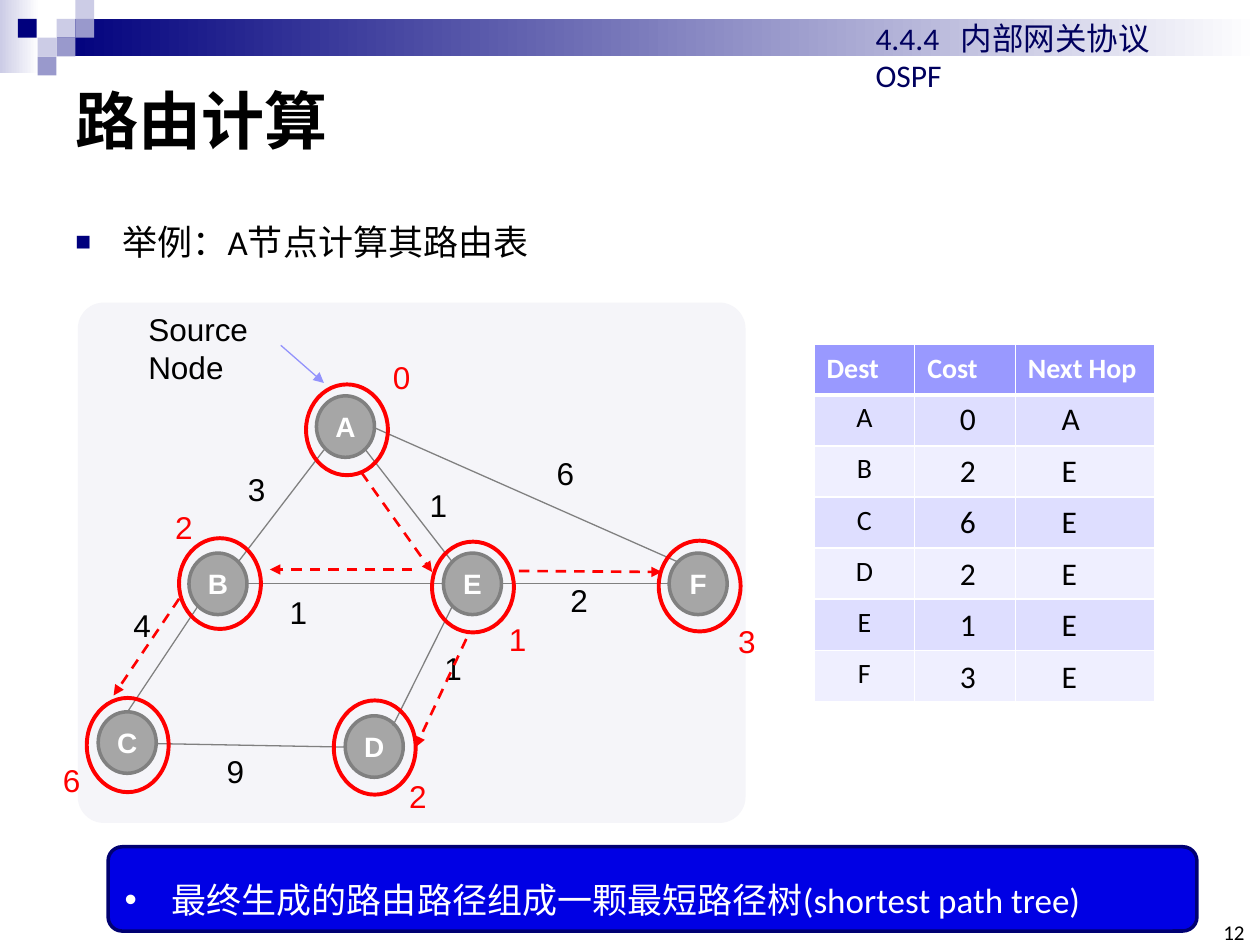
"""Build the slide on shortest-path route calculation."""
from lxml.etree import SubElement
from pptx import Presentation
from pptx.dml.color import RGBColor
from pptx.enum.dml import MSO_LINE
from pptx.enum.shapes import MSO_CONNECTOR, MSO_SHAPE
from pptx.enum.text import MSO_ANCHOR as Anchor, PP_ALIGN as Align
from pptx.oxml.ns import qn
from pptx.util import Cm, Pt

WHITE = RGBColor(0xFF, 0xFF, 0xFF)
BLACK = RGBColor(0x00, 0x00, 0x00)
RED = RGBColor(0xFF, 0x00, 0x00)
NAVY = RGBColor(0x00, 0x00, 0x7D)
DARK_NAVY = RGBColor(0x00, 0x00, 0x5E)
LAVENDER = RGBColor(0xCC, 0xCC, 0xE6)
LILAC = RGBColor(0x99, 0x99, 0xCC)
PANEL = RGBColor(0xF5, 0xF5, 0xF9)
NODE_FILL = RGBColor(0xA6, 0xA6, 0xA6)
GRAY = RGBColor(0x80, 0x80, 0x80)
POINTER = RGBColor(0x93, 0x93, 0xFC)
HEADER = RGBColor(0x99, 0x99, 0xFF)
BANDS = (RGBColor(0xDE, 0xDE, 0xFF), RGBColor(0xEF, 0xEF, 0xFF))
BAR_FILL = RGBColor(0x00, 0x00, 0xE4)
BAR_LINE = RGBColor(0x00, 0x00, 0x72)

SQUARES = [
    (1.14, 0.38, LAVENDER), (1.52, 0, LAVENDER), (1.52, 0.38, LILAC),
    (0.76, 0.76, LAVENDER), (0.36, 0.38, NAVY), (1.14, 0.76, LILAC),
    (0.76, 1.14, LILAC),
]
NODES = {
    "A": (6.38, 7.98), "B": (3.81, 11.15), "E": (8.94, 11.15),
    "F": (13.49, 11.15), "C": (1.98, 14.35), "D": (6.96, 14.43),
}
LINKS = [
    (6.53, 9.07, 4.8, 11.33), (3.99, 12.22, 2.57, 14.35),
    (3.15, 14.99, 6.96, 15.06), (7.92, 14.63, 9.12, 12.22),
    (4.95, 11.76, 8.94, 11.76), (7.37, 9.07, 9.12, 11.33),
    (10.08, 11.76, 13.49, 11.76), (7.52, 8.61, 13.67, 11.33),
]
WEIGHTS = [
    ("4", 2.44, 12.09), ("9", 4.32, 15.04), ("1", 8.71, 12.95),
    ("1", 5.59, 11.84), ("3", 4.75, 9.35), ("1", 8.41, 9.68),
    ("2", 11.25, 11.58), ("6", 10.97, 9.02),
]
RINGS = [
    (6.17, 7.75, 1.83), (8.71, 10.92, 1.83), (3.61, 10.85, 1.83),
    (13.28, 10.9, 1.83), (6.73, 14.12, 1.9), (1.75, 14.07, 1.9),
]
DISTANCES = [
    ("0", 7.67, 7.09), ("1", 10.01, 12.37), ("2", 3.28, 10.11),
    ("3", 14.63, 12.42), ("2", 8, 15.54), ("6", 1.02, 15.21),
]
TREE_PATHS = [
    (7.29, 9.53, 8.71, 11.53), (8.31, 11.48, 5.44, 11.48),
    (10.46, 11.51, 13.34, 11.53), (9.4, 12.88, 8.38, 15.06),
    (3.61, 12.07, 2.29, 14.02),
]
COLUMNS = [("Dest", 2.03), ("Cost", 2.03), ("Next Hop", 2.82)]
ROUTES = [("A", "0", "A"), ("B", "2", "E"), ("C", "6", "E"),
          ("D", "2", "E"), ("E", "1", "E"), ("F", "3", "E")]
ROW_HEIGHT = 1.03


def write(frame, content, size=18, color=BLACK, font="Calibri", bold=False,
          align=Align.LEFT, anchor=Anchor.TOP, spacing=None, before=None,
          inset=None, bullet=None, indent=0.95, tab=None):
    frame.word_wrap = True
    frame.vertical_anchor = anchor
    if inset is not None:
        frame.margin_left = frame.margin_right = Cm(inset)
        frame.margin_top = frame.margin_bottom = Cm(inset)
    paragraph = frame.paragraphs[0]
    paragraph.alignment = align
    if spacing:
        paragraph.line_spacing = spacing
    if before:
        paragraph.space_before = Pt(before)
    run = paragraph.add_run()
    run.text = content
    run.font.size = Pt(size)
    run.font.name = font
    run.font.bold = bold
    run.font.color.rgb = color
    properties = paragraph._p.get_or_add_pPr()
    if bullet:
        character, bullet_color, percent = bullet
        properties.set("marL", str(Cm(indent)))
        properties.set("indent", str(-Cm(indent)))
        tint = SubElement(properties, qn("a:buClr"))
        SubElement(tint, qn("a:srgbClr"), val=str(bullet_color))
        SubElement(properties, qn("a:buSzPct"), val=str(percent * 1000))
        SubElement(properties, qn("a:buFont"), typeface="Arial")
        SubElement(properties, qn("a:buChar"), char=character)
    if tab:
        stops = SubElement(properties, qn("a:tabLst"))
        SubElement(stops, qn("a:tab"), pos=str(Cm(tab)), algn="l")


def add_text(slide, content, left, top, width=1, height=1.02, **text_format):
    box = slide.shapes.add_textbox(Cm(left), Cm(top), Cm(width), Cm(height))
    write(box.text_frame, content, **text_format)


def add_shape(slide, kind, left, top, width, height, fill=None, line=None,
              line_width=2, gradient=None):
    shape = slide.shapes.add_shape(kind, Cm(left), Cm(top), Cm(width), Cm(height))
    shape.shadow.inherit = False
    if gradient:
        shape.fill.gradient()
        shape.fill.gradient_angle = 0
        for stop, color, position in zip(shape.fill.gradient_stops, gradient, (0, 1)):
            stop.color.rgb = color
            stop.position = position
    elif fill is not None:
        shape.fill.solid()
        shape.fill.fore_color.rgb = fill
    else:
        shape.fill.background()
    if line is not None:
        shape.line.color.rgb = line
        shape.line.width = Pt(line_width)
    else:
        shape.line.fill.background()
    return shape


def add_line(slide, ends, color, width=0.75, dashed=False, arrow=False):
    connector = slide.shapes.add_connector(MSO_CONNECTOR.STRAIGHT, *map(Cm, ends))
    connector.line.color.rgb = color
    connector.line.width = Pt(width)
    if dashed:
        connector.line.dash_style = MSO_LINE.DASH
    if arrow:
        SubElement(connector.line._get_or_add_ln(), qn("a:tailEnd"), type="triangle")
    SubElement(connector._element.spPr, qn("a:effectLst"))


def style_cell(cell, fill, bottom=1):
    properties = cell._tc.get_or_add_tcPr()
    for side, width in (("L", 1), ("R", 1), ("T", 1), ("B", bottom)):
        border = SubElement(properties, qn(f"a:ln{side}"), w=str(Pt(width)))
        SubElement(SubElement(border, qn("a:solidFill")), qn("a:srgbClr"), val=str(WHITE))
    cell.fill.solid()
    cell.fill.fore_color.rgb = fill


def add_banner(slide):
    add_shape(slide, MSO_SHAPE.RECTANGLE, 0, 0, 0.79, 1.47, gradient=(LAVENDER, WHITE))
    add_shape(slide, MSO_SHAPE.RECTANGLE, 1.14, 0.38, 24.26, 0.76, gradient=(NAVY, WHITE))
    for left, top, color in SQUARES:
        add_shape(slide, MSO_SHAPE.RECTANGLE, left, top, 0.38, 0.38, fill=color)
    add_text(slide, "4.4.4\t内部网关协议OSPF", 17.4, 0.25, 7.2, color=DARK_NAVY, tab=1.72)


def add_network(slide):
    for name, (left, top) in NODES.items():
        node = add_shape(slide, MSO_SHAPE.OVAL, left, top, 1.17, 1.24, NODE_FILL, GRAY)
        write(node.text_frame, name, size=16, color=WHITE, font="Arial", bold=True,
              align=Align.CENTER, anchor=Anchor.MIDDLE, inset=0)
    for ends in LINKS:
        add_line(slide, ends, GRAY)
    for labels, color in ((WEIGHTS, BLACK), (DISTANCES, RED)):
        for label, left, top in labels:
            add_text(slide, label, left, top, color=color, font="Arial")
    add_line(slide, (5.66, 6.96, 6.53, 7.72), POINTER, arrow=True)
    add_text(slide, "Source Node", 2.74, 6.12, 3, 1.78, font="Arial")
    for left, top, height in RINGS:
        add_shape(slide, MSO_SHAPE.OVAL, left, top, 1.65, height, line=RED, line_width=2.25)
    for ends in TREE_PATHS:
        add_line(slide, ends, RED, width=1.5, dashed=True, arrow=True)


def add_routing_table(slide):
    table = slide.shapes.add_table(len(ROUTES) + 1, len(COLUMNS), Cm(16.41), Cm(6.93),
                                   Cm(6.88), Cm(ROW_HEIGHT * 7)).table
    for row in table.rows:
        row.height = Cm(ROW_HEIGHT)
    for index, (heading, width) in enumerate(COLUMNS):
        table.columns[index].width = Cm(width)
        cell = table.cell(0, index)
        style_cell(cell, HEADER, bottom=3)
        write(cell.text_frame, heading, size=16, color=WHITE, bold=True)
        cell.vertical_anchor = Anchor.MIDDLE
    for index, (destination, cost, hop) in enumerate(ROUTES):
        for column in range(len(COLUMNS)):
            style_cell(table.cell(index + 1, column), BANDS[index % 2])
        write(table.cell(index + 1, 0).text_frame, destination, size=16, align=Align.CENTER)
        add_text(slide, f"{cost}\t{hop}", 19.1, 7.92 + index * 1.04, 3, tab=2.05)


def main():
    presentation = Presentation()
    presentation.slide_width, presentation.slide_height = Cm(25.4), Cm(19.05)
    slide = presentation.slides.add_slide(presentation.slide_layouts[6])
    add_banner(slide)
    panel = add_shape(slide, MSO_SHAPE.ROUNDED_RECTANGLE, 1.57, 6.1, 13.46, 10.49, PANEL)
    panel.adjustments[0] = 0.05
    add_text(slide, "路由计算", 1.27, 1.27, 22.86, 2.26, size=36, bold=True,
             anchor=Anchor.MIDDLE)
    add_text(slide, "举例：A节点计算其路由表", 1.27, 3.89, 23.83, 1.3, size=20,
             spacing=1.5, before=18, bullet=("■", NAVY, 75))
    add_network(slide)
    add_routing_table(slide)
    add_text(slide, "12", 24.51, 18.62, 0.58, 0.43, size=12, align=Align.RIGHT,
             anchor=Anchor.BOTTOM, inset=0)
    bar = add_shape(slide, MSO_SHAPE.ROUNDED_RECTANGLE, 2.18, 17.07, 21.95, 1.7,
                    BAR_FILL, BAR_LINE)
    write(bar.text_frame, "最终生成的路由路径组成一颗最短路径树(shortest path tree)", size=20,
          color=WHITE, anchor=Anchor.MIDDLE, spacing=1.5, bullet=("•", WHITE, 100))
    presentation.save("out.pptx")


main()
